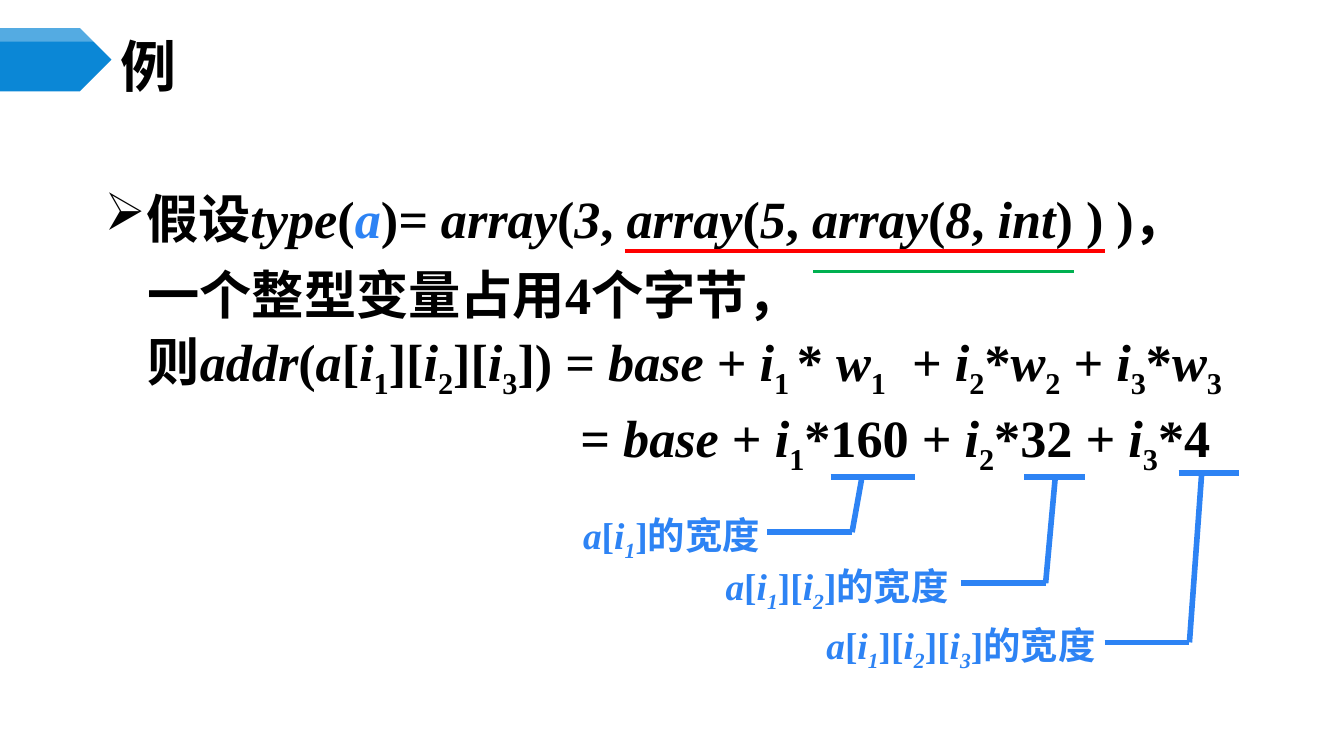
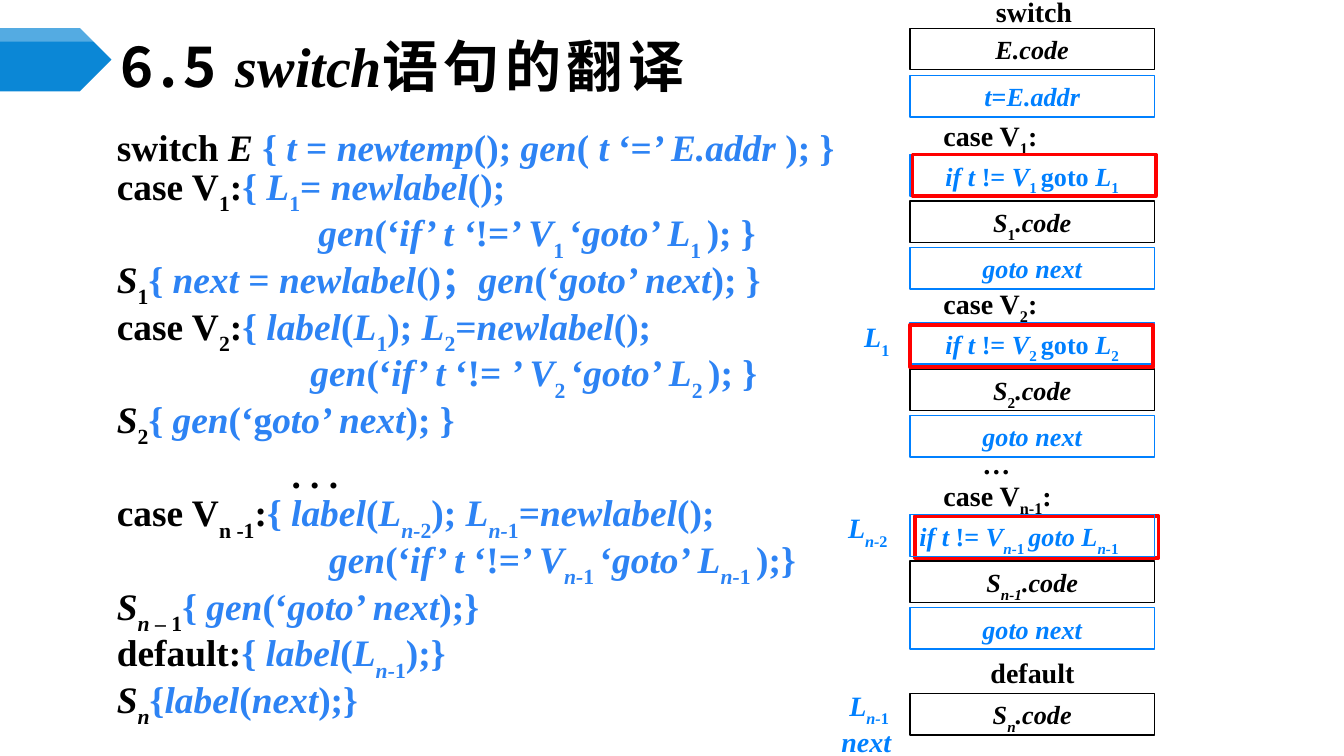
"""Two lecture slides on array addressing and switch translation.

Lengths are columns and rows of a 100-column grid. In the text markup
/ toggles italics, ~ toggles subscript and | toggles the accent colour.
"""
import dataclasses
import itertools

import lxml.etree
import pptx
import pptx.dml.color
import pptx.enum.shapes
import pptx.enum.text
import pptx.oxml.ns
import pptx.util

SHAPE = pptx.enum.shapes.MSO_SHAPE
ALIGN = pptx.enum.text.PP_ALIGN
ANCHOR = pptx.enum.text.MSO_ANCHOR
qn = pptx.oxml.ns.qn


@dataclasses.dataclass(frozen=True)
class Theme:
    """Colours, fonts and type sizes of the deck."""
    ink: str = "000000"
    accent: str = "2D83F4"
    memory: str = "0080FF"
    band: str = "0B87D6"
    gloss: str = "FFFFFF"
    red: str = "FF0000"
    green: str = "00B050"
    latin: str = "Times New Roman"
    cjk: str = "Noto Sans CJK SC"
    title: int = 30
    formula: int = 28
    code: int = 20
    label: int = 15
    cell: int = 14


@dataclasses.dataclass(frozen=True)
class Box:
    """A region of the grid."""
    left: float
    top: float
    width: float
    height: float

    def inside(self, x, y, width, height):
        """Return a box offset from this one's top left corner."""
        return Box(self.left + x, self.top + y, width, height)

    def frame(self):
        """Return left, top, width and height as lengths."""
        return [grid(v) for v in (self.left, self.top, self.width, self.height)]


THEME = Theme()
TIGHT = (0.7, 0.4)
ROOMY = (1, 0.5)


def grid(cells):
    """Turn grid cells into a length."""
    return pptx.util.Inches(round(cells / 10, 3))


def rgb(colour):
    """Turn a hex string into a colour."""
    return pptx.dml.color.RGBColor.from_string(colour)


def pieces(markup):
    """Yield (text, italic, subscript, accent) for each stretch of markup."""
    on = dict.fromkeys("/~|", False)
    marked = []
    for char in markup:
        if char in on:
            on[char] = not on[char]
        else:
            marked.append((tuple(on.values()), char))
    for state, group in itertools.groupby(marked, key=lambda item: item[0]):
        yield ("".join(char for _, char in group), *state)


def write(paragraph, markup, size, colour=THEME.ink, drop=30, heading=False):
    """Fill a paragraph with formatted runs."""
    for text, italic, subscript, accent in pieces(markup):
        run = paragraph.add_run()
        run.text = text
        font = run.font
        font.size, font.bold, font.italic = pptx.util.Pt(size), True, italic
        font.color.rgb = rgb(THEME.accent if accent else colour)
        spaced = heading and not italic
        font.name = THEME.cjk if spaced else THEME.latin
        props = font._element
        lxml.etree.SubElement(props, qn("a:ea")).set("typeface", THEME.cjk)
        if spaced:
            props.set("spc", "300")
        if subscript:
            props.set("baseline", str(-drop * 1000))


def prepare(shape, insets):
    """Set wrapping and insets, and return the text frame."""
    frame = shape.text_frame
    frame.word_wrap = True
    frame.vertical_anchor = ANCHOR.TOP
    frame.margin_left = frame.margin_right = grid(insets[0])
    frame.margin_top = frame.margin_bottom = grid(insets[1])
    return frame


def text_box(slide, box, insets=TIGHT):
    """Add a wrapping text box and return its text frame."""
    return prepare(slide.shapes.add_textbox(*box.frame()), insets)


def label(slide, box, markup, colour=THEME.ink):
    """Add a one-line label."""
    write(text_box(slide, box).paragraphs[0], markup, THEME.label, colour)


def indent(paragraph, margin, hang=0):
    """Set the left margin and the first-line offset."""
    props = paragraph._p.get_or_add_pPr()
    props.set("marL", str(grid(margin)))
    props.set("indent", str(grid(hang)))
    return props


def outline(slide, box, colour, weight=0.75):
    """Add an unfilled rectangle."""
    shape = slide.shapes.add_shape(SHAPE.RECTANGLE, *box.frame())
    shape.shadow.inherit = False
    shape.fill.background()
    shape.line.color.rgb = rgb(colour)
    shape.line.width = pptx.util.Pt(weight)
    return shape


def stroke(slide, start, end, colour, weight):
    """Draw a straight line between two grid points."""
    line = slide.shapes.add_connector(
        pptx.enum.shapes.MSO_CONNECTOR.STRAIGHT,
        *(grid(v) for v in (*start, *end)))
    line.line.color.rgb = rgb(colour)
    line.line.width = pptx.util.Pt(weight)
    lxml.etree.SubElement(line._element.spPr, qn("a:effectLst"))


def header(slide, box, markup):
    """Place the arrow band and the slide title."""
    for height, colour, alpha in ((box.height, THEME.band, None),
                                  (1, THEME.gloss, "30000")):
        band = slide.shapes.add_shape(
            SHAPE.PENTAGON, *box.inside(0, 0, 8.3, height).frame())
        band.shadow.inherit = False
        band.fill.solid()
        band.fill.fore_color.rgb = rgb(colour)
        band.line.fill.background()
        if alpha:
            tint = band._element.spPr.find(".//" + qn("a:srgbClr"))
            lxml.etree.SubElement(tint, qn("a:alpha")).set("val", alpha)
    frame = text_box(slide, box.inside(8.3, 0.8, 86.7, 3.9))
    frame.vertical_anchor = ANCHOR.MIDDLE
    write(frame.paragraphs[0], markup, THEME.title, heading=True)


def derivation(slide, box):
    """Write the address formula and underline the inner array types."""
    lines = (
        (6.3, -3, "假设/type/(/|a|/)/= array/(/3/, /array/(/5/, "
                  "/array/(/8/, /int/) ) )，"),
        (6.5, 0, "一个整型变量占用4个字节，"),
        (6.5, 0, "则/addr/(/a/[/i/~1~][/i/~2~][/i/~3~]) = /base /+ /i/~1 ~*/ w/~1~"
                 "\u2002+ /i/~2~*/w/~2~ + /i/~3~*/w/~3~"),
        (38.7, 0, "= /base /+ /i/~1~*160 + /i/~2~*32 + /i/~3~*4"),
    )
    frame = text_box(slide, box, ROOMY)
    for row, (margin, hang, markup) in enumerate(lines):
        paragraph = frame.add_paragraph() if row else frame.paragraphs[0]
        paragraph.line_spacing = pptx.util.Pt(35)
        paragraph.space_before = pptx.util.Pt(5.6)
        props = indent(paragraph, margin, hang)
        if hang:
            lxml.etree.SubElement(props, qn("a:buChar")).set("char", "➢")
        write(paragraph, markup, THEME.formula, drop=25)
    for x, y, length, colour in ((43, 5.5, 35.7, THEME.red),
                                 (57, 7, 19.4, THEME.green)):
        start = box.left + x, box.top + y
        stroke(slide, start, (start[0] + length, start[1]), colour, 2)


def callout(slide, box, markup, factor, shelf, lean):
    """Label a factor: underline it and join it to the label by an elbow."""
    x, y, length = factor
    knee = shelf + 6.3, box.top + 2
    for start, end in (((x, y), (x + length, y)),
                       ((shelf, knee[1]), knee),
                       (knee, (knee[0] + lean, y + 0.2))):
        stroke(slide, start, end, THEME.accent, 3)
    frame = text_box(slide, box, ROOMY)
    write(frame.paragraphs[0], markup, THEME.code, THEME.accent, drop=25)


def translation_scheme(slide, box):
    """Write the translation scheme, one exact-height line per step."""
    lines = (
        (0, "switch /E /|{ /t/ = /newtemp/(); /gen/( /t /‘=/’ E.addr /); }|"),
        (0, "case V~1~:|{ /L/~1~= /newlabel/();|"),
        (15, "|/gen/(‘/if’ t ‘/!=/’ V/~1 ~‘/goto’ L/~1 ~); }|"),
        (0, "/S/~1~|{ /next/ = /newlabel/()；/gen/(‘/goto’ next/); }|"),
        (0, "case V~2~:|{ /label/(/L/~1~); /L/~2~=/newlabel/();|"),
        (14.4, "|/gen/(‘/if’ t /‘!=/ ’ V/~2 ~‘/goto’ L/~2 ~); }|"),
        (0, "/S/~2~|{ /gen/(‘g/oto’ next/); }|"),
        (13, ". . ."),
        (0, "case V~n -1~:|{ /label/(/L~n-~/~2~); /L~n-~/~1~=/newlabel/();|"),
        (15.8, "|/gen/(‘/if’ t /‘!=/’ V~n-~/~1 ~‘/goto’ L~n-~/~1 ~);}|"),
        (0, "/S~n~/~ – 1~|{ /gen/(‘/goto’ next/);}|"),
        (0, "default:|{ /label/(/L~n-~/~1~);}|"),
        (0, "/S~n~/|{/label/(/next/);}|"),
    )
    frame = text_box(slide, box)
    for row, (margin, markup) in enumerate(lines):
        paragraph = frame.add_paragraph() if row else frame.paragraphs[0]
        paragraph.line_spacing = pptx.util.Pt(25)
        indent(paragraph, margin)
        write(paragraph, markup, THEME.code)


def cell(slide, box, markup, colour=THEME.ink, align=ALIGN.CENTER):
    """Add one outlined cell of the generated code."""
    paragraph = prepare(outline(slide, box, colour), TIGHT).paragraphs[0]
    paragraph.alignment = align
    write(paragraph, markup, THEME.cell, colour)


def case_block(slide, box, name, test, body, mark, last=False):
    """Stack a case label, its framed test, its body and the final jump."""
    def row(number):
        return box.inside(0, number * 3.45, box.width, 3.1)

    label(slide, box.inside(1.8, -3.1, 11.5, 3.3), f"case V~{name}~:")
    cell(slide, row(1), body)
    cell(slide, row(2), "/goto next/", THEME.memory)

    def frame_test():
        outline(slide, box.inside(*mark, 18.1, 3.1), THEME.red, 2)

    if last:
        frame_test()
    cell(slide, row(0), test, THEME.memory, ALIGN.LEFT if last else ALIGN.CENTER)
    if not last:
        frame_test()


def generated_code(slide, box):
    """Lay out the column of generated code with its jump labels."""
    def slot(y):
        return box.inside(0, y, box.width, 3.1)

    for x, y, width, markup in ((5.7, -0.8, 9.2, "switch"),
                                (4.7, 32.8, 7.7, "…"),
                                (5.3, 48.4, 8.3, "default")):
        label(slide, box.inside(x, y, width, 3.3), markup)
    cell(slide, slot(2.1), "/E.code/")
    cell(slide, slot(5.6), "/t/=/E.addr/", THEME.memory)
    case_block(slide, slot(11.5), "1", "/if t /!= /V/~1 ~goto /L/~1~",
               "/S/~1~/.code/", (0.2, 0))
    case_block(slide, slot(24), "2", "/if t /!= /V/~2 ~goto /L/~2~",
               "/S/~2~/.code/", (0, 0.2))
    case_block(slide, slot(38.3), "n-1", "/if t /!= /V~n-~/~1 ~/goto L~n-~/~1~",
               "/S~n-1~.code/", (0.4, 0.1), last=True)
    cell(slide, slot(51.6), "/S~n~.code/")
    for x, y, width, markup in ((-4.1, 23.4, 3.5, "/L/~1~"),
                                (-5.3, 37.6, 5.3, "/L~n-~/~2~"),
                                (-5.2, 50.8, 5.3, "/L~n-~/~1~"),
                                (-5.8, 53.5, 5.3, "/next/")):
        label(slide, box.inside(x, y, width, 3.3), markup, THEME.memory)


def example_slide(slide, page):
    """Build the array address example."""
    header(slide, page.inside(0, 2.1, 95, 4.7), "例")
    derivation(slide, page.inside(3.5, 13.2, 92.1, 29.3))
    callout(slide, page.inside(42.4, 37.6, 15.4, 4.4),
            "/a/[/i~1~/]的宽度", (61.8, 35.5, 6.3), 57.1, 0.7)
    callout(slide, page.inside(53, 41.4, 18.8, 4.4),
            "/a/[/i~1~/][/i~2~/]的宽度", (76.2, 35.5, 4.5), 71.5, 0.7)
    callout(slide, page.inside(60.5, 45.8, 22.2, 4.4),
            "/a/[/i~1~/][/i~2~/][/i~3~/]的宽度", (87.7, 35.2, 4.5), 82.2, 0.9)


def switch_slide(slide, page):
    """Build the switch translation slide."""
    header(slide, page.inside(0, 2.1, 95, 4.7), "6.5/ switch/语句的翻译")
    translation_scheme(slide, page.inside(8, 8.7, 63.6, 49.9))
    generated_code(slide, page.inside(67.7, 0, 18.2, page.height))


def main():
    """Build and save the deck."""
    deck = pptx.Presentation()
    page = Box(0, 0, 100, 56.25)
    deck.slide_width, deck.slide_height = grid(page.width), grid(page.height)
    for build in (example_slide, switch_slide):
        build(deck.slides.add_slide(deck.slide_layouts[6]), page)
    deck.save("out.pptx")


main()
